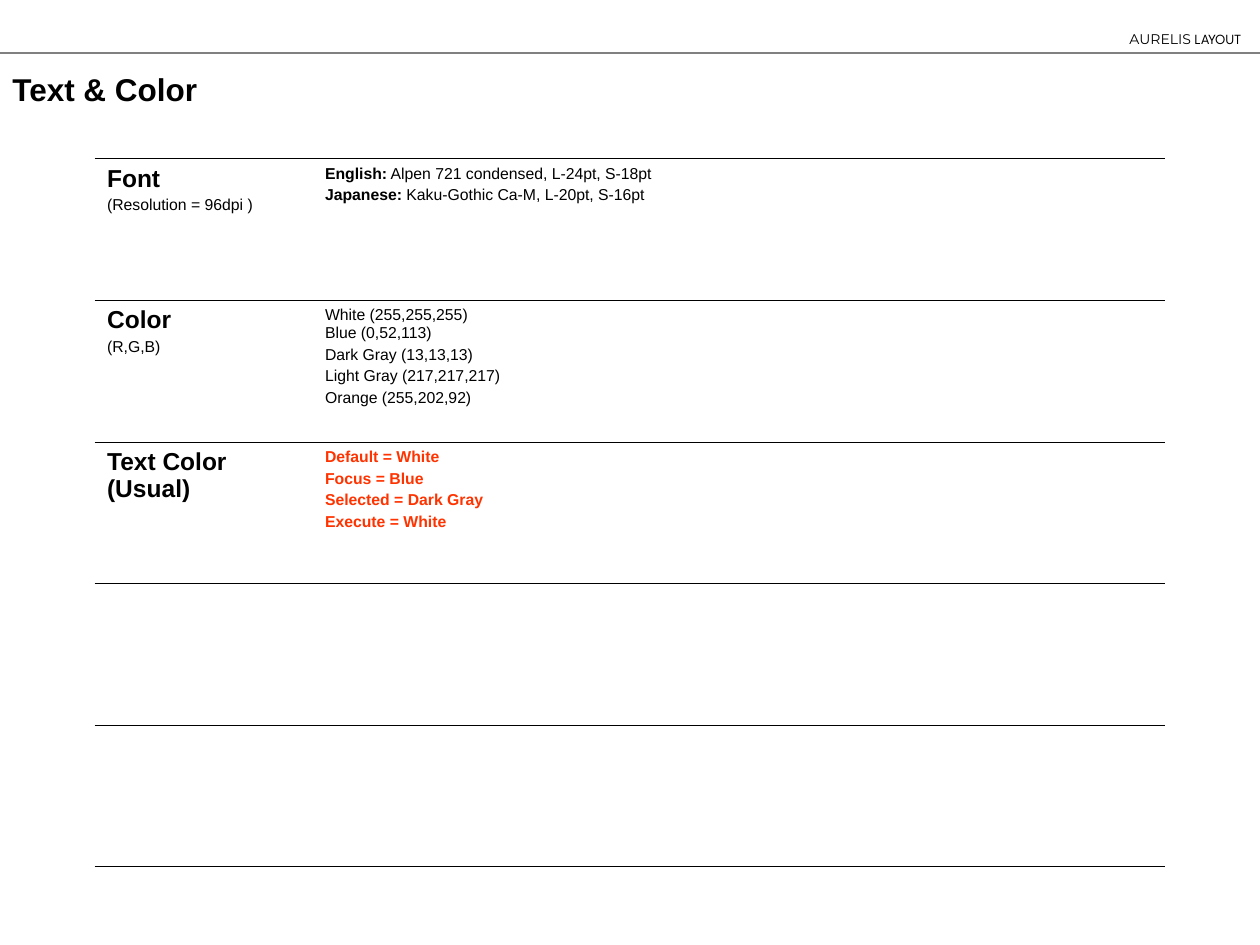
from lxml import etree
from pptx import Presentation, util as u
from pptx.dml.color import RGBColor
from pptx.enum import shapes, text
from pptx.oxml import ns

BLACK = RGBColor(0, 0, 0)
GRAY = RGBColor(0x80, 0x80, 0x80)
RED = RGBColor(0xFF, 0x33, 0x00)

deck = Presentation()
deck.slide_width, deck.slide_height = u.Inches(10), u.Inches(7.5)
slide = deck.slides.add_slide(deck.slide_layouts[6])


def write(frame, lines, color=BLACK):
    """Each line is (size, bold, gap before, words)."""
    for i, (size, bold, gap, words) in enumerate(lines):
        par = frame.paragraphs[0] if i == 0 else frame.add_paragraph()
        par.text = words
        par.font.name, par.font.size = "Arial", u.Pt(size)
        par.font.bold, par.font.color.rgb = bold, color
        if i:
            par.space_before = u.Pt(gap)


def edge(cell):
    """Rule a cell above and below only, with no fill."""
    props = cell._tc.get_or_add_tcPr()
    for side in "LRTB":
        line = etree.SubElement(props, ns.qn(f"a:ln{side}"), w=str(u.Pt(0.45)))
        if side in "LR":
            etree.SubElement(line, ns.qn("a:noFill"))
        else:
            paint = etree.SubElement(line, ns.qn("a:solidFill"))
            etree.SubElement(paint, ns.qn("a:srgbClr"), val=str(BLACK))
    cell.fill.background()


# Page header
rule = slide.shapes.add_connector(
    shapes.MSO_CONNECTOR.STRAIGHT, 0, u.Inches(0.42), deck.slide_width, u.Inches(0.42))
rule.line.color.rgb, rule.line.width = GRAY, u.Pt(1.5)
etree.SubElement(rule._element.spPr, ns.qn("a:effectLst"))

tag = slide.shapes.add_textbox(u.Inches(8.8), u.Inches(0.19), u.Inches(1.15), u.Inches(0.24))
tag.text_frame.word_wrap = False
par = tag.text_frame.paragraphs[0]
par.alignment = text.PP_ALIGN.RIGHT
par.font.size, par.font.color.rgb = u.Pt(8), BLACK
for words, face in (("AURELIS", "Montserrat"), (" LAYOUT", "League Spartan")):
    run = par.add_run()
    run.text, run.font.name = words, face

title = slide.shapes.add_textbox(0, u.Inches(0.51), u.Inches(1.69), u.Inches(0.4))
title.text_frame.word_wrap = True
title.text_frame.vertical_anchor = text.MSO_ANCHOR.MIDDLE
write(title.text_frame, [(18, True, 0, "Text & Color")])

# Style table: heading, note, values, whether the values are bold, their colour
ROWS = [
    ("Font", "(Resolution = 96dpi )", [], False, BLACK),
    ("Color", "(R,G,B)",
     ["White (255,255,255) \vBlue (0,52,113)", "Dark Gray (13,13,13)",
      "Light Gray (217,217,217)", "Orange (255,202,92)"], False, BLACK),
    ("Text Color\v(Usual)", None,
     ["Default = White", "Focus = Blue", "Selected = Dark Gray", "Execute = White"],
     True, RED),
]
FONTS = [("English:", " Alpen 721 condensed, L-24pt, S-18pt"),
         ("Japanese:", " Kaku-Gothic Ca-M, L-20pt, S-16pt")]

table = slide.shapes.add_table(
    5, 3, u.Inches(0.75), u.Inches(1.26), u.Inches(8.5), u.Inches(5.62)).table
table.first_row = table.horz_banding = False
for col, width in zip(table.columns, (1.73, 4.25, 2.52)):
    col.width = u.Inches(width)
for cell in table.iter_cells():
    edge(cell)

for i, (head, note, vals, bold, color) in enumerate(ROWS):
    lines = [(14, True, 3.5, head)]
    if note:
        lines.append((9, False, 2.2, note))
    write(table.cell(i, 0).text_frame, lines)
    write(table.cell(i, 1).text_frame, [(9, bold, 2.2, val) for val in vals], color)

frame = table.cell(0, 1).text_frame
write(frame, [(9, False, 2.2, "") for _ in FONTS])
for par, (name, spec) in zip(frame.paragraphs, FONTS):
    for words, bold in ((name, True), (spec, False)):
        run = par.add_run()
        run.text, run.font.bold = words, bold

deck.save("out.pptx")
